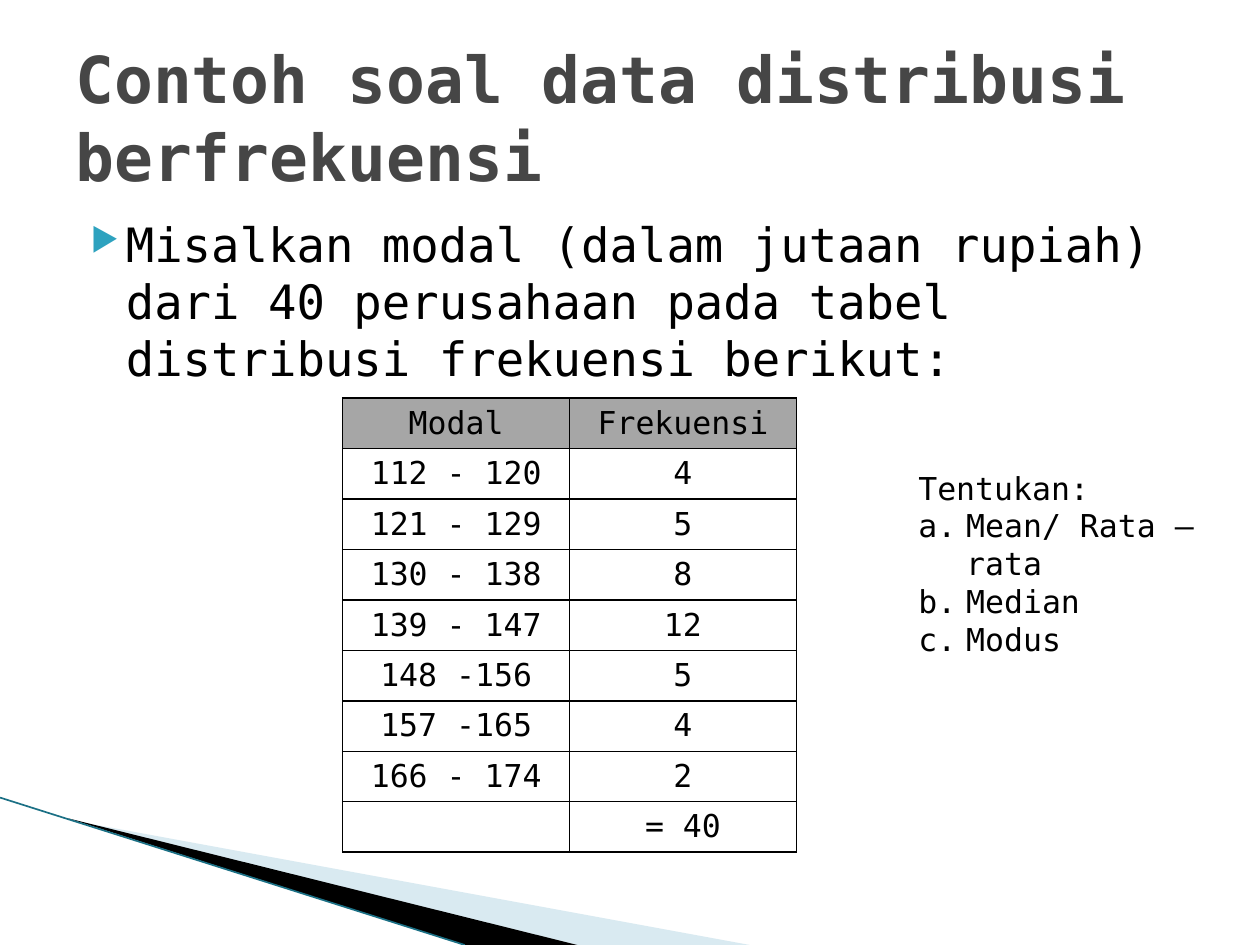
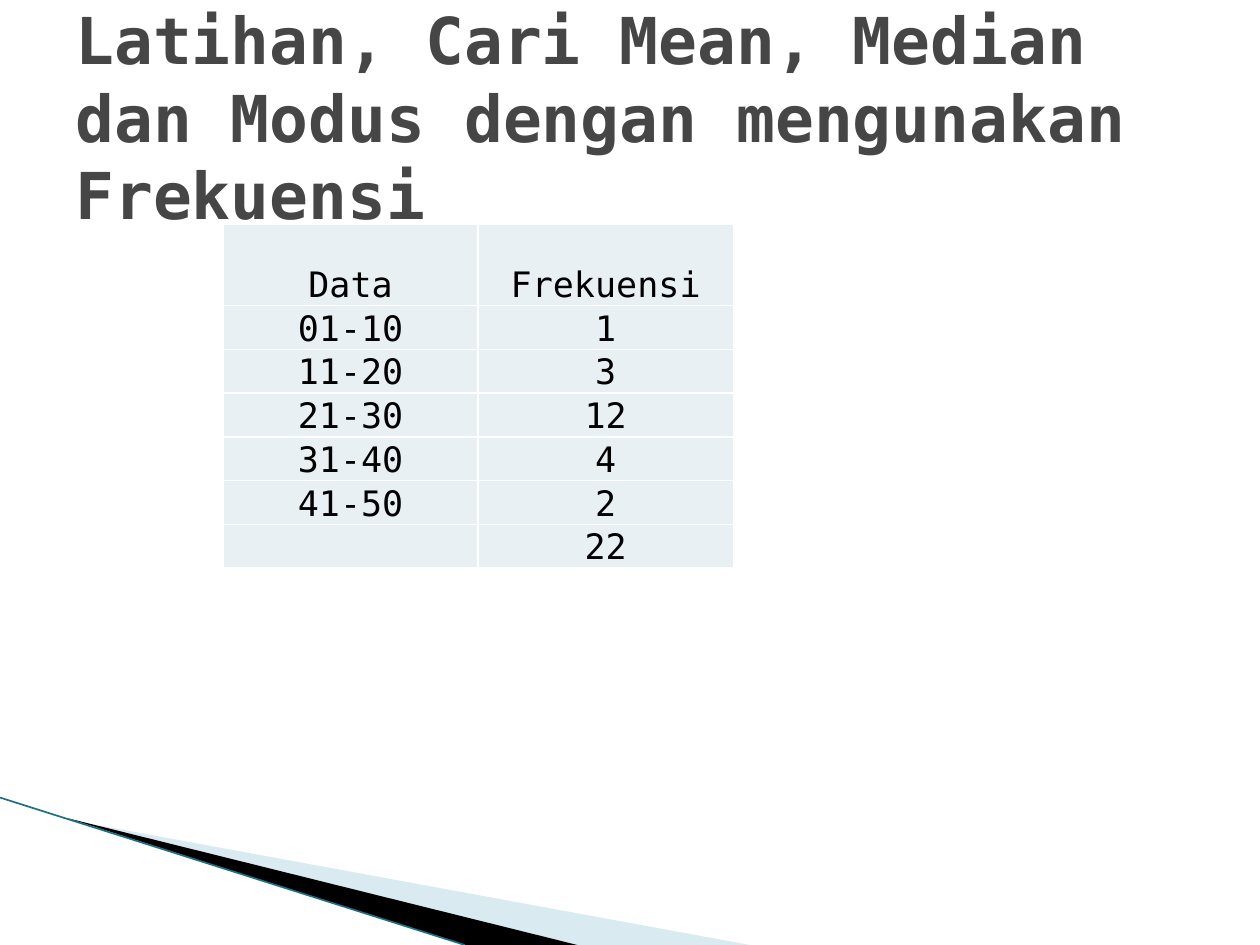
from dataclasses import dataclass

from lxml.etree import SubElement
from pptx import Presentation
from pptx.dml.color import RGBColor
from pptx.enum.shapes import MSO_CONNECTOR as Connector
from pptx.enum.text import MSO_ANCHOR as Anchor, PP_ALIGN as Align
from pptx.oxml import parse_xml
from pptx.oxml.ns import nsdecls, qn
from pptx.util import Emu, Inches, Pt


@dataclass(frozen=True)
class Theme:
    font: str = "DejaVu Sans Mono"
    title: str = "464646"
    ink: str = "000000"
    paper: str = "FFFFFF"
    accent: str = "2DA2BF"
    pale_wedge: str = "A0CBDC"
    edge: str = "1B7085"
    header_grey: str = "A6A6A6"
    pale_cell: str = "E8F0F4"
    title_size: float = 36.9
    body_size: float = 27
    exercise_size: float = 20
    small_size: float = 18


THEME = Theme()
WIDTH, HEIGHT = Inches(10), Inches(7.5)
COLUMNS, ROWS = 100, 75


@dataclass(frozen=True)
class Box:
    column: float
    row: float
    columns: float
    rows: float

    def at(self, across, down):
        return (Emu(int(WIDTH * (self.column + across * self.columns) / COLUMNS)),
                Emu(int(HEIGHT * (self.row + down * self.rows) / ROWS)))

    def frame(self):
        left, top = self.at(0, 0)
        right, bottom = self.at(1, 1)
        return left, top, right - left, bottom - top


@dataclass(frozen=True)
class TableLook:
    size: float
    border: str
    header: str
    body: str
    anchor: Anchor
    margins: tuple
    header_share: float


TITLE_BOX = Box(5, 3, 90, 12.5)
CORNER_BOX = Box(0, 63.3, 59.5, 11.7)
CAPITAL_LOOK = TableLook(THEME.small_size, THEME.ink, THEME.header_grey, None,
                         Anchor.MIDDLE, (0.1, 0.05, 0.1, 0.05), 1)
EXERCISE_LOOK = TableLook(THEME.exercise_size, THEME.paper, THEME.pale_cell,
                          THEME.pale_cell, Anchor.BOTTOM, (0.01, 0.01, 0.01, 0), 1.86)


def rgb(code):
    return RGBColor.from_string(code)


def write(paragraph, words, size, color=THEME.ink, bold=False):
    run = paragraph.add_run()
    run.text = words
    run.font.name = THEME.font
    run.font.size = Pt(size)
    run.font.bold = bold
    run.font.color.rgb = rgb(color)


def open_text(slide, box, anchor=Anchor.TOP):
    frame = slide.shapes.add_textbox(*box.frame()).text_frame
    frame.word_wrap = True
    frame.vertical_anchor = anchor
    return frame


def hang(paragraph, margin, indent, *marks):
    properties = paragraph._p.get_or_add_pPr()
    properties.set("marL", str(Inches(margin)))
    properties.set("indent", str(Inches(indent)))
    for mark in marks:
        properties.append(parse_xml(mark.replace("/>", f" {nsdecls('a')}/>", 1)
                                    if mark.endswith("/>") and mark.count("<") == 1
                                    else mark.replace(">", f" {nsdecls('a')}>", 1)))


def add_wedge(slide, box, corners, color, opacity=100):
    start, *others = [box.at(*corner) for corner in corners]
    builder = slide.shapes.build_freeform(*start, scale=1.0)
    builder.add_line_segments(others, close=True)
    wedge = builder.convert_to_shape()
    wedge.shadow.inherit = False
    wedge.line.fill.background()
    wedge.fill.solid()
    wedge.fill.fore_color.rgb = rgb(color)
    if opacity < 100:
        tint = wedge._element.spPr.find(qn("a:solidFill")).find(qn("a:srgbClr"))
        SubElement(tint, qn("a:alpha"), val=str(opacity * 1000))


def add_corner(slide, box):
    add_wedge(slide, box, [(0.09, 0.15), (1, 1), (0.77, 1)], THEME.pale_wedge, 40)
    add_wedge(slide, box, [(0.09, 0.14), (0.77, 1), (0.62, 1)], THEME.ink)
    edge = slide.shapes.add_connector(Connector.STRAIGHT, *box.at(0, 0), *box.at(0.62, 1))
    edge.line.color.rgb = rgb(THEME.edge)
    edge.line.width = Pt(0.95)
    SubElement(edge._element.spPr, qn("a:effectLst"))


def add_title(slide, box, words):
    frame = open_text(slide, box, Anchor.MIDDLE)
    write(frame.paragraphs[0], words, THEME.title_size, THEME.title, True)


def add_statement(slide, box, words):
    statement = open_text(slide, box).paragraphs[0]
    hang(statement, 0.4, -0.28,
         f'<a:buClr><a:srgbClr val="{THEME.accent}"/></a:buClr>',
         '<a:buSzPct val="68000"/>',
         '<a:buChar char="▶"/>')
    write(statement, words, THEME.body_size)


def add_tasks(slide, box, heading, tasks):
    frame = open_text(slide, box)
    write(frame.paragraphs[0], heading, THEME.small_size)
    for task in tasks:
        paragraph = frame.add_paragraph()
        hang(paragraph, 0.38, -0.38, '<a:buAutoNum type="alphaLcPeriod"/>')
        write(paragraph, task, THEME.small_size)


def style_cell(cell, look, fill):
    (cell.margin_left, cell.margin_top,
     cell.margin_right, cell.margin_bottom) = map(Inches, look.margins)
    cell.vertical_anchor = look.anchor
    if fill:
        cell.fill.solid()
        cell.fill.fore_color.rgb = rgb(fill)
    else:
        cell.fill.background()
    properties = cell._tc.get_or_add_tcPr()
    for position, side in enumerate(("lnL", "lnR", "lnT", "lnB")):
        properties.insert(position, parse_xml(
            f'<a:{side} {nsdecls("a")} w="{Pt(1)}"><a:solidFill>'
            f'<a:srgbClr val="{look.border}"/></a:solidFill></a:{side}>'))


def add_frequencies(slide, box, records, look):
    count = len(records)
    left, top, width, height = box.frame()
    table = slide.shapes.add_table(count, 2, left, top, width, height).table
    table.first_row = table.horz_banding = False
    unit = height / (count - 1 + look.header_share)
    for column in table.columns:
        column.width = int(width / 2)
    for index, record in enumerate(records):
        table.rows[index].height = int(unit * (1 if index else look.header_share))
        for position, value in enumerate(record):
            cell = table.cell(index, position)
            style_cell(cell, look, look.body if index else look.header)
            paragraph = cell.text_frame.paragraphs[0]
            paragraph.alignment = Align.CENTER
            if value:
                write(paragraph, value, look.size)


def start_slide(deck, title):
    slide = deck.slides.add_slide(deck.slide_layouts[6])
    add_corner(slide, CORNER_BOX)
    add_title(slide, TITLE_BOX, title)
    return slide


def add_example(deck):
    slide = start_slide(deck, "Contoh soal data distribusi berfrekuensi")
    add_statement(slide, Box(5, 16.6, 92.9, 14.4),
                  "Misalkan modal (dalam jutaan rupiah) dari 40 perusahaan "
                  "pada tabel distribusi frekuensi berikut:")
    add_frequencies(slide, Box(27.2, 31.6, 36, 36), [
        ("Modal", "Frekuensi"),
        ("112 - 120", "4"),
        ("121 - 129", "5"),
        ("130 - 138", "8"),
        ("139 - 147", "12"),
        ("148 -156", "5"),
        ("157 -165", "4"),
        ("166 - 174", "2"),
        ("", "= 40"),
    ], CAPITAL_LOOK)
    add_tasks(slide, Box(71.9, 36.7, 26, 15), "Tentukan:",
              ["Mean/ Rata – rata", "Median", "Modus"])


def add_exercise(deck):
    slide = start_slide(
        deck, "Latihan, Cari Mean, Median dan Modus dengan mengunakan Frekuensi")
    add_frequencies(slide, Box(17.7, 17.8, 40.5, 27.3), [
        ("Data", "Frekuensi"),
        ("01-10", "1"),
        ("11-20", "3"),
        ("21-30", "12"),
        ("31-40", "4"),
        ("41-50", "2"),
        ("", "22"),
    ], EXERCISE_LOOK)


def main():
    deck = Presentation()
    deck.slide_width, deck.slide_height = WIDTH, HEIGHT
    add_example(deck)
    add_exercise(deck)
    deck.save("out.pptx")


if __name__ == "__main__":
    main()
